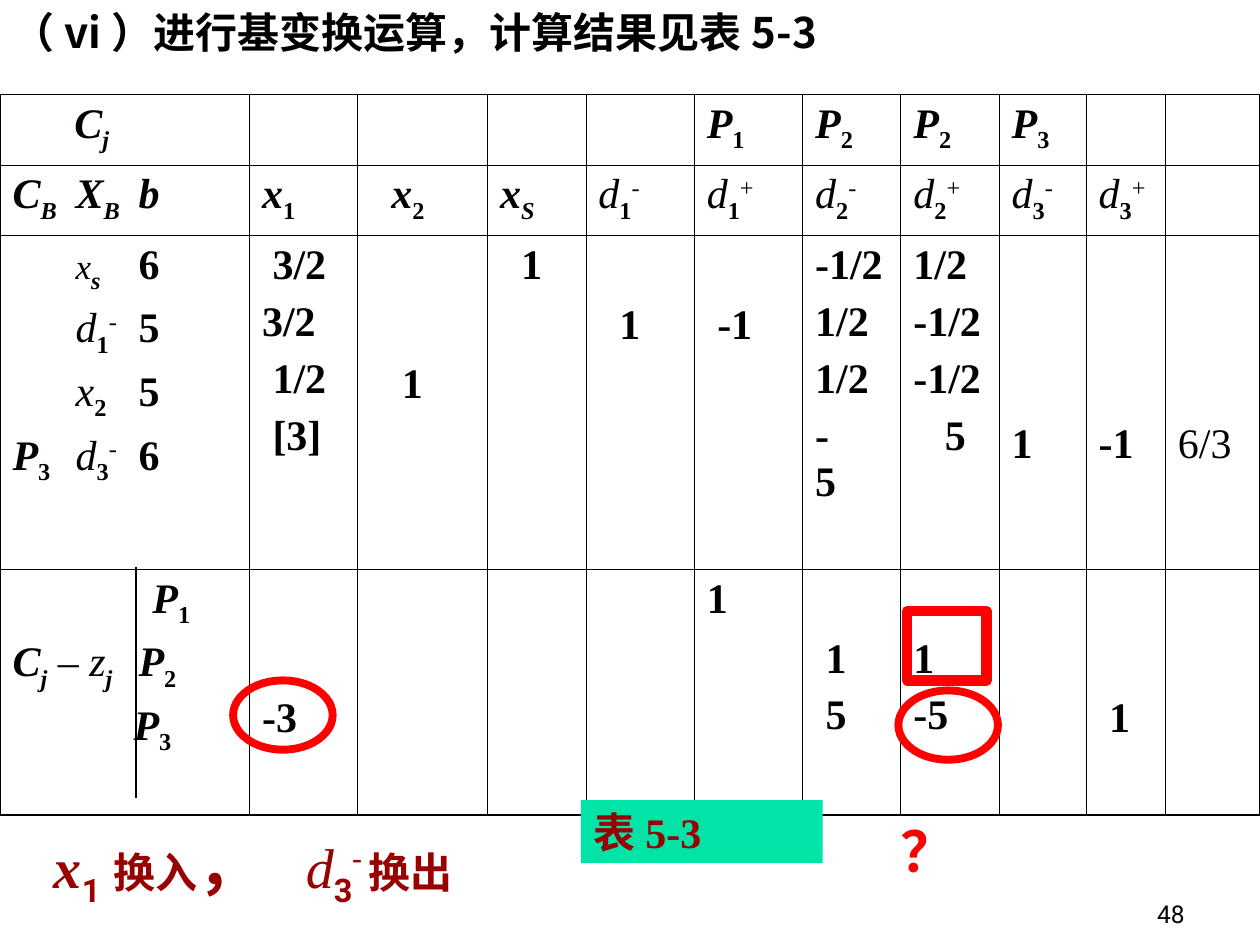
from lxml import etree
from pptx import Presentation
from pptx.dml.color import RGBColor
from pptx.enum.shapes import MSO_CONNECTOR, MSO_SHAPE
from pptx.enum.text import MSO_ANCHOR, MSO_AUTO_SIZE, PP_ALIGN
from pptx.oxml.ns import qn
from pptx.util import Inches, Pt

RECT, OVAL = MSO_SHAPE.RECTANGLE, MSO_SHAPE.OVAL
STRAIGHT = MSO_CONNECTOR.STRAIGHT
TOP, BOTTOM = MSO_ANCHOR.TOP, MSO_ANCHOR.BOTTOM
NO_AUTOFIT = MSO_AUTO_SIZE.NONE
LEFT, RIGHT = PP_ALIGN.LEFT, PP_ALIGN.RIGHT

BLACK = RGBColor(0, 0, 0)
INK = RGBColor(4, 0, 0)
MAROON = RGBColor(0x99, 0, 0)
RED = RGBColor(0xFF, 0, 0)
MINT = RGBColor(0, 0xE4, 0xA8)

SERIF, SANS, CJK = "Times New Roman", "Roboto", "Noto Sans CJK SC"
BASELINES = {"_": "-25000", "^": "30000"}
SPACE_WIDTH = 0.083
LINE_PITCH = 0.475

COLUMN_WIDTHS = [1.98, 0.86, 1.03, 0.78, 0.86, 0.86, 0.78, 0.78, 0.69, 0.63, 0.75]
ROW_HEIGHTS = [0.56, 0.56, 2.65, 1.95]

PRIORITIES = {5: "1", 6: "2", 7: "2", 8: "3"}
VARIABLES = {1: (0, "1", "b_"), 2: (2, "2", "b_"), 3: (0, "S", "bi_")}
DEVIATIONS = ["1-", "1+", "2-", "2+", "3-", "3+"]

# (row, column): (lines skipped, [(indent in spaces, value), ...])
COEFFICIENTS = {
    (2, 1): (0, [(1, "3/2"), (0, "3/2"), (1, "1/2"), (1, "[3]")]),
    (2, 2): (2, [(3, "1")]),
    (2, 3): (0, [(2, "1")]),
    (2, 4): (1, [(2, "1")]),
    (2, 5): (1, [(1, "-1")]),
    (2, 6): (0, [(0, "-1/2"), (0, "1/2"), (0, "1/2"), (0, "-\t5")]),
    (2, 7): (0, [(0, "1/2"), (0, "-1/2"), (0, "-1/2"), (3, "5")]),
    (2, 8): (3, [(0, "1")]),
    (2, 9): (3, [(0, "-1")]),
    (3, 1): (2, [(0, "-3")]),
    (3, 5): (0, [(0, "1")]),
    (3, 6): (1, [(1, "1"), (1, "5")]),
    (3, 7): (1, [(0, "1"), (0, "-5")]),
    (3, 9): (2, [(1, "1")]),
}


def priority(number):
    return [("P", "bi"), (number, "b_")]


def deviation(label):
    return [("d", "i"), (label[0], "b_"), (label[1], "^")]


def write(paragraph, runs, size=24, font=SERIF, color=None, indent=0, tabs=(),
          before=0, align=LEFT):
    properties = paragraph._p.get_or_add_pPr()
    properties.set("marL", str(Inches(indent)))
    properties.set("indent", "0")
    if tabs:
        stops = etree.SubElement(properties, qn("a:tabLst"))
        for stop in tabs:
            etree.SubElement(stops, qn("a:tab"), pos=str(Inches(stop)), algn="l")
    paragraph.alignment = align
    if before:
        paragraph.space_before = Pt(before)
    for text, style, *own in runs:
        look = {"size": size, "font": font, **(own[0] if own else {})}
        run = paragraph.add_run()
        run.text = text
        run.font.size = Pt(look["size"])
        run.font.name = look["font"]
        run.font.bold = "b" in style
        run.font.italic = "i" in style
        run.font.color.rgb = color or (INK if "bi" in style else BLACK)
        run_properties = run._r.get_or_add_rPr()
        etree.SubElement(run_properties, qn("a:ea"), typeface=look["font"])
        for mark, shift in BASELINES.items():
            if mark in style:
                run_properties.set("baseline", shift)


def fill_cell(cell, lines, skipped=0):
    cell.margin_top = Inches(0.05 + skipped * LINE_PITCH)
    for index, (runs, layout) in enumerate(lines):
        paragraphs = cell.text_frame
        paragraph = paragraphs.add_paragraph() if index else paragraphs.paragraphs[0]
        write(paragraph, runs, before=6 if index else 0, **layout)


def border_cell(cell, outer_sides):
    properties = cell._tc.get_or_add_tcPr()
    for side in "LRTB":
        width = Pt(1.08 if side in outer_sides else 0.45)
        line = etree.SubElement(properties, qn(f"a:ln{side}"), w=str(width))
        solid = etree.SubElement(line, qn("a:solidFill"))
        etree.SubElement(solid, qn("a:srgbClr"), val=str(BLACK))
    cell.fill.background()


def add_tableau(slide):
    rows, columns = len(ROW_HEIGHTS), len(COLUMN_WIDTHS)
    tableau = slide.shapes.add_table(rows, columns, 0, Inches(0.75), Inches(10),
                                     Inches(sum(ROW_HEIGHTS))).table
    tableau.first_row = tableau.horz_banding = False
    for column, width in zip(tableau.columns, COLUMN_WIDTHS):
        column.width = Inches(width)
    for row, height in zip(tableau.rows, ROW_HEIGHTS):
        row.height = Inches(height)
    for r in range(rows):
        for c in range(columns):
            edges = {"L": c == 0, "R": c == columns - 1, "T": r == 0, "B": r == rows - 1}
            border_cell(tableau.cell(r, c), [side for side in edges if edges[side]])
    return tableau


def fill_tableau(tableau):
    cost = [("C", "bi"), ("j", "bi_")]
    fill_cell(tableau.cell(0, 0), [(cost, {"indent": 0.49})])
    for column, number in PRIORITIES.items():
        fill_cell(tableau.cell(0, column), [(priority(number), {})])

    basis = [("C", "bi"), ("B", "bi_"), ("\tX", "bi"), ("B", "bi_"), ("\tb", "bi")]
    fill_cell(tableau.cell(1, 0), [(basis, {"tabs": (0.59, 1.28)})])
    for column, (spaces, subscript, style) in VARIABLES.items():
        fill_cell(tableau.cell(1, column), [([("x", "bi"), (subscript, style)],
                                             {"indent": spaces * SPACE_WIDTH})])
    for column, label in enumerate(DEVIATIONS, start=4):
        fill_cell(tableau.cell(1, column), [(deviation(label), {})])

    tab = ("\t", "")
    fill_cell(tableau.cell(2, 0), [
        ([tab, ("x", "i", {"size": 20}), ("s", "bi_"), ("\t6", "b")], {"tabs": (0.69, 1.27)}),
        ([tab, *deviation("1-"), ("\t5", "b")], {"tabs": (0.67, 1.28)}),
        ([tab, ("x", "i"), ("2", "b_"), ("\t5", "b")], {"tabs": (0.75, 1.27)}),
        ([*priority("3"), tab, *deviation("3-"), ("\t6", "b")], {"tabs": (0.63, 1.26)}),
    ])
    fill_cell(tableau.cell(2, 10), [([("6/3", "")], {})], skipped=3)
    fill_cell(tableau.cell(3, 0), [
        (priority("1"), {"indent": 1.11}),
        ([*cost, (" – z", "i"), ("j", "bi_"), tab, *priority("2")], {"tabs": (1.03,)}),
        (priority("3"), {"indent": 0.96}),
    ])
    for (row, column), (skipped, values) in COEFFICIENTS.items():
        lines = [([(value, "b")], {"indent": spaces * SPACE_WIDTH,
                                   "tabs": (0.28,) if "\t" in value else ()})
                 for spaces, value in values]
        fill_cell(tableau.cell(row, column), lines, skipped)


def add_text(slide, box, runs, wrap=True, anchor=TOP, **layout):
    frame = slide.shapes.add_textbox(*map(Inches, box)).text_frame
    frame.word_wrap = wrap
    frame.vertical_anchor = anchor
    write(frame.paragraphs[0], runs, **layout)


def add_mark(slide, preset, box, fill=None, line_width=0):
    mark = slide.shapes.add_shape(preset, *map(Inches, box))
    mark.shadow.inherit = False
    if fill:
        mark.fill.solid()
        mark.fill.fore_color.rgb = fill
    else:
        mark.fill.background()
    if line_width:
        mark.line.color.rgb = RED
        mark.line.width = Pt(line_width)
    else:
        mark.line.fill.background()
    return mark


def add_divider(slide, x, top, bottom):
    divider = slide.shapes.add_connector(STRAIGHT, *map(Inches, (x, top, x, bottom)))
    divider.line.color.rgb = BLACK
    divider.line.width = Pt(0.75)
    etree.SubElement(divider._element.spPr, qn("a:effectLst"))


def add_title(slide, text):
    title = slide.shapes.title
    title.left, title.top, title.width, title.height = map(Inches, (0, 0, 9.17, 1.25))
    title.text_frame.vertical_anchor = TOP
    title.text_frame.auto_size = NO_AUTOFIT
    write(title.text_frame.paragraphs[0], [(text, "b")], font=CJK)


def main():
    presentation = Presentation()
    presentation.slide_width, presentation.slide_height = Inches(10), Inches(7.5)
    slide = presentation.slides.add_slide(presentation.slide_layouts[5])

    add_title(slide, "（vi）进行基变换运算，计算结果见表5-3")
    fill_tableau(add_tableau(slide))
    add_divider(slide, 1.08, 4.5, 6.33)

    sans, chinese = {"font": SANS}, {"font": CJK, "size": 24}
    add_text(slide, (0.33, 6.5, 6.83, 0.77), [
        ("x", "bi"), ("1", "b_", sans), ("换入", "b", chinese),
        ("，", "b", {"font": SANS, "size": 36}), ("\td", "i"), ("3", "b_", sans),
        ("-", "^", sans), ("\t换出", "b", chinese),
    ], size=32, color=MAROON, tabs=(1.85, 2.62))

    caption = add_mark(slide, RECT, (4.61, 6.35, 1.92, 0.5), fill=MINT).text_frame
    caption.vertical_anchor = TOP
    write(caption.paragraphs[0], [("表", "b", chinese), ("5-3", "b")], color=MAROON)

    for left, top in ((1.85, 5.4), (7.13, 5.48)):
        add_mark(slide, OVAL, (left, top, 0.79, 0.55), line_width=4.5)
    add_text(slide, (7.05, 6.43, 0.64, 0.64), [("？", "b")], wrap=False,
             size=32, font=SANS, color=RED)
    add_mark(slide, RECT, (7.2, 4.85, 0.63, 0.55), line_width=6)
    add_text(slide, (7.42, 6.92, 2.08, 0.5), [("48", "")], anchor=BOTTOM,
             size=14, font=SANS, align=RIGHT)

    presentation.save("out.pptx")


if __name__ == "__main__":
    main()
